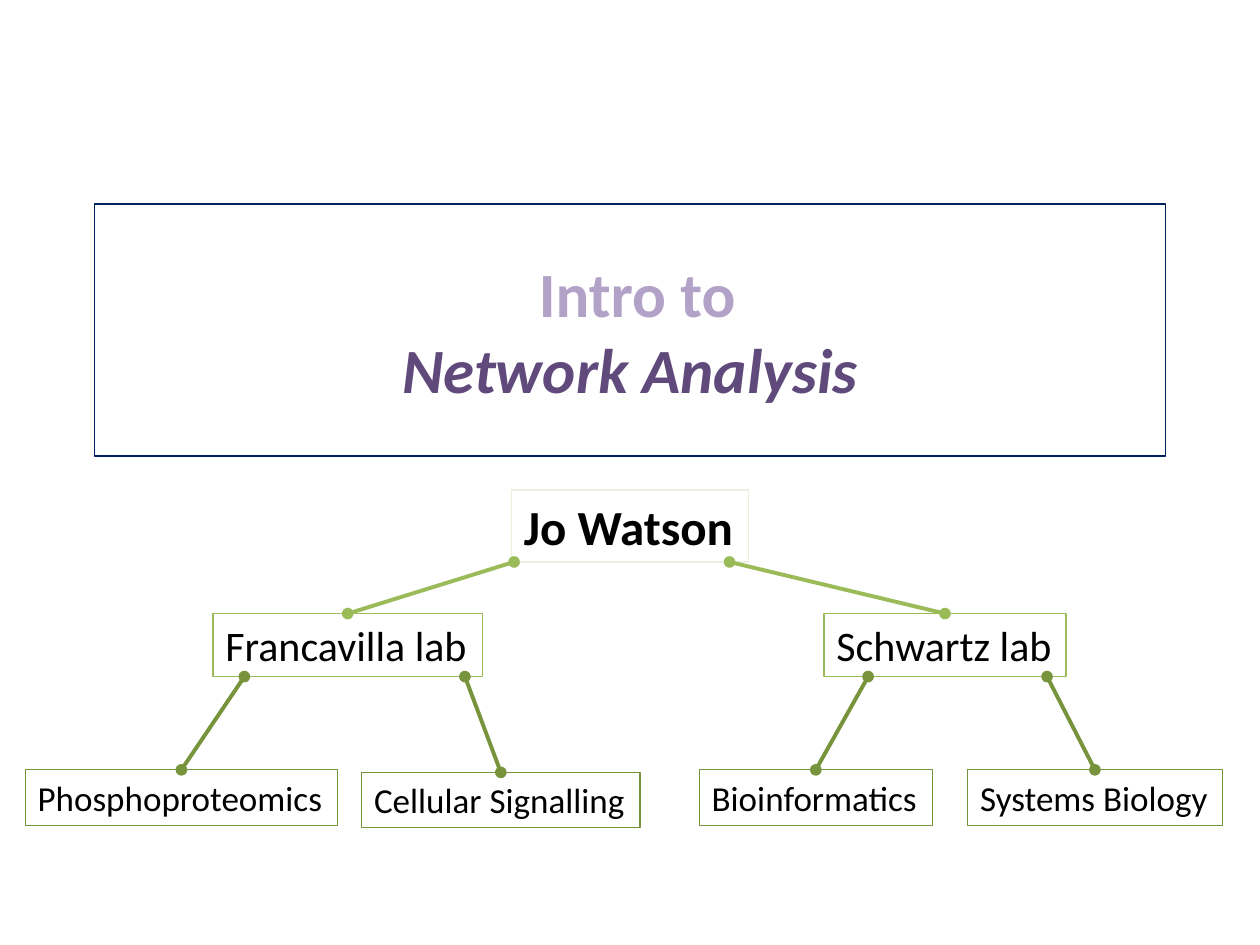
import pptx
import pptx.util
import pptx.dml.color
import pptx.enum.shapes
import pptx.enum.text
import pptx.oxml
import pptx.oxml.ns
from lxml import etree

Inches = pptx.util.Inches
Pt = pptx.util.Pt
qn = pptx.oxml.ns.qn

COLORS = {
    "navy": "002060",
    "plum": "604A7B",
    "lilac": "B3A2C7",
    "black": "000000",
    "pale": "EBF1DE",
    "green": "9BBB59",
    "olive": "77933C",
}

TREE = {
    "name": "Jo Watson", "box": (4.06, 3.89, 1.88, 0.57), "size": 28, "line": "pale",
    "link": "green", "kids": [
        {"name": "Francavilla lab", "box": (1.69, 4.87, 2.14, 0.5), "size": 24,
         "line": "green", "link": "olive", "from": 0.02, "kids": [
             {"name": "Phosphoproteomics", "box": (0.2, 6.11, 2.48, 0.44), "size": 20,
              "line": "olive", "from": 0.25},
             {"name": "Cellular Signalling", "box": (2.87, 6.13, 2.21, 0.44), "size": 20,
              "line": "olive", "from": 2}]},
        {"name": "Schwartz lab", "box": (6.54, 4.87, 1.92, 0.5), "size": 24,
         "line": "green", "link": "olive", "from": 1.73, "kids": [
             {"name": "Bioinformatics", "box": (5.55, 6.11, 1.85, 0.44), "size": 20,
              "line": "olive", "from": 0.35},
             {"name": "Systems Biology", "box": (7.68, 6.11, 2.02, 0.44), "size": 20,
              "line": "olive", "from": 1.77}]},
    ],
}


def rgb(name):
    """Return the named colour."""
    return pptx.dml.color.RGBColor.from_string(COLORS[name])


def outline(shape, color, width):
    """Give a shape or connector a solid line."""
    shape.line.color.rgb = rgb(color)
    shape.line.width = Pt(width)


def style(run, size, color, bold=False, italic=False):
    """Format one run."""
    font = run.font
    font.name = "Calibri"
    font.size = Pt(size)
    font.color.rgb = rgb(color)
    font.bold = bold
    font.italic = italic


def add_title(slide, box):
    """Place the two-line framed title."""
    title = slide.shapes.title
    title.left, title.top, title.width, title.height = map(Inches, box)
    outline(title, "navy", 0.75)
    frame = title.text_frame
    frame.auto_size = pptx.enum.text.MSO_AUTO_SIZE.NONE
    frame.vertical_anchor = pptx.enum.text.MSO_ANCHOR.MIDDLE
    para = frame.paragraphs[0]
    para.text = " Intro to\vNetwork Analysis"
    para.alignment = pptx.enum.text.PP_ALIGN.CENTER
    intro, topic = para.runs
    style(intro, 36, "lilac", bold=True)
    style(topic, 36, "plum", bold=True, italic=True)
    gap = para._p.find(qn("a:br"))
    etree.SubElement(gap, qn("a:rPr")).set("sz", "3600")


def add_link(slide, start, child, color):
    """Join a point to the top of a child box with round ends."""
    link = slide.shapes.add_connector(
        pptx.enum.shapes.MSO_CONNECTOR.STRAIGHT, *start, *start)
    link.end_connect(child, 0)
    outline(link, color, 2.25)
    line = link.line._get_or_add_ln()
    for end in ("headEnd", "tailEnd"):
        etree.SubElement(line, qn(f"a:{end}")).set("type", "oval")
    etree.SubElement(link._element.spPr, qn("a:effectLst"))


def add_node(slide, node):
    """Place a tree box, its children and the links to them."""
    box = slide.shapes.add_textbox(*map(Inches, node["box"]))
    outline(box, node["line"], 0.75)
    frame = box.text_frame
    frame.word_wrap = False
    frame.auto_size = pptx.enum.text.MSO_AUTO_SIZE.SHAPE_TO_FIT_TEXT
    frame.text = node["name"]
    style(frame.paragraphs[0].runs[0], node["size"], "black", bold=node is TREE)
    for kid in node.get("kids", []):
        child = add_node(slide, kid)
        start = box.left + Inches(kid["from"]), box.top + box.height
        add_link(slide, start, child, node["link"])
    return box


def main():
    """Build and save the slide."""
    deck = pptx.Presentation()
    deck.slide_width, deck.slide_height = Inches(10), Inches(7.5)
    slide = deck.slides.add_slide(deck.slide_layouts[0])
    sub = slide.placeholders[1]._element
    sub.getparent().remove(sub)
    add_title(slide, (0.75, 1.62, 8.5, 2))
    add_node(slide, TREE)
    deck.save("out.pptx")


if __name__ == "__main__":
    main()
